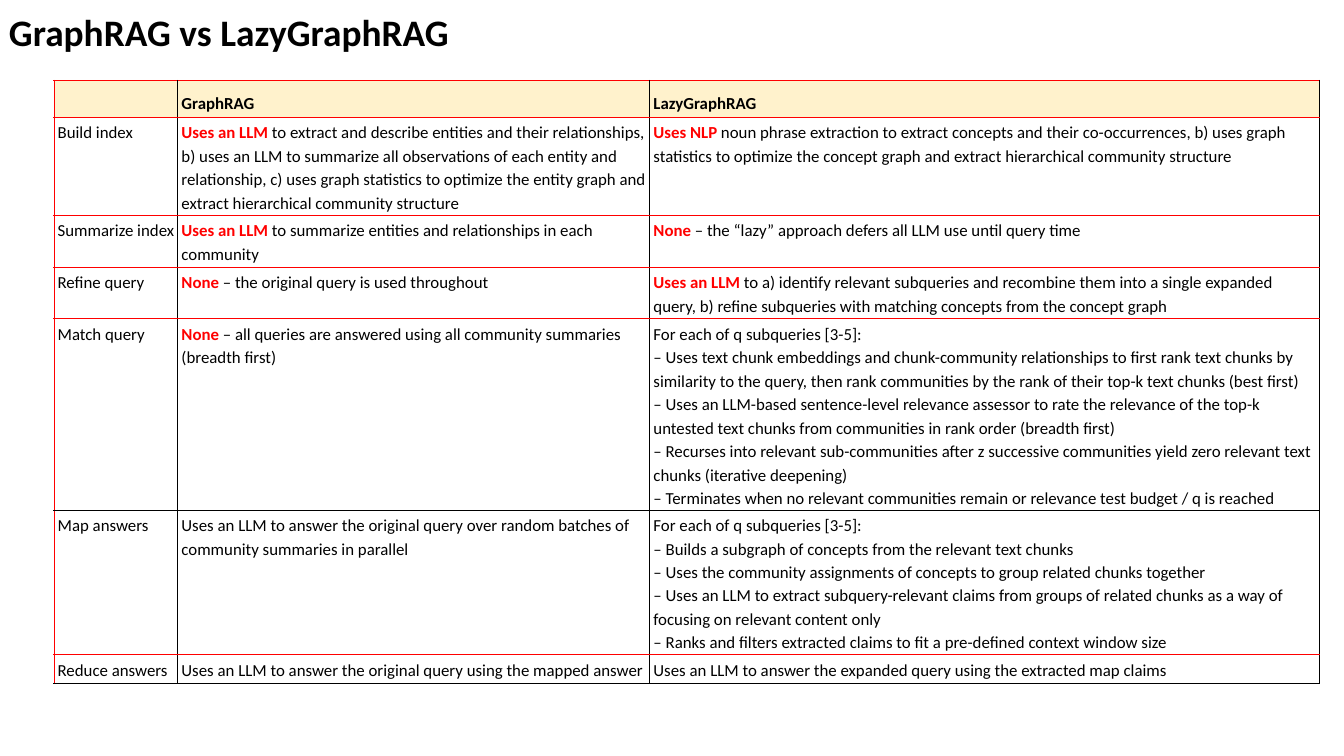
from dataclasses import dataclass

from lxml.etree import SubElement
from pptx import Presentation
from pptx.dml.color import RGBColor
from pptx.enum.text import MSO_ANCHOR as Anchor, MSO_AUTO_SIZE as AutoSize, PP_ALIGN as Align
from pptx.oxml.ns import qn
from pptx.util import Cm, Pt


@dataclass(frozen=True)
class Theme:
    font: str = "Calibri"
    title_size: float = 20
    body_size: float = 9
    blank_size: float = 14
    ink: str = "000000"
    accent: str = "FF0000"
    header: str = "FFF2CC"
    paper: str = "FFFFFF"
    border: float = 0.6
    spacing: float = 1.15


@dataclass(frozen=True)
class Entry:
    text: str
    lead: str = ""
    points: tuple[str, ...] = ()


@dataclass(frozen=True)
class Stage:
    name: str
    height: float
    graph: Entry
    lazy: Entry


THEME = Theme()
COLUMN_WIDTHS = (2.34, 8.92, 12.65)
RED_RULES = (0, 1, 2, 3, 4, 6)
STAGES = (
    Stage("", 0.51, Entry("GraphRAG"), Entry("LazyGraphRAG")),
    Stage(
        "Build index", 1.4,
        Entry(" to extract and describe entities and their relationships, b) uses an LLM to "
              "summarize all observations of each entity and relationship, c) uses graph statistics "
              "to optimize the entity graph and extract hierarchical community structure",
              "Uses an LLM"),
        Entry("noun phrase extraction to extract concepts and their co-occurrences, b) uses graph "
              "statistics to optimize the concept graph and extract hierarchical community structure",
              "Uses NLP "),
    ),
    Stage(
        "Summarize index", 0.74,
        Entry(" to summarize entities and relationships in each community", "Uses an LLM"),
        Entry(" – the “lazy” approach defers all LLM use until query time", "None"),
    ),
    Stage(
        "Refine query", 0.74,
        Entry(" – the original query is used throughout", "None"),
        Entry("to a) identify relevant subqueries and recombine them into a single expanded query, "
              "b) refine subqueries with matching concepts from the concept graph", "Uses an LLM "),
    ),
    Stage(
        "Match query", 2.72,
        Entry(" – all queries are answered using all community summaries (breadth first)", "None"),
        Entry("For each of q subqueries [3-5]:", points=(
            "– Uses text chunk embeddings and chunk-community relationships to first rank text chunks "
            "by similarity to the query, then rank communities by the rank of their top-k text chunks "
            "(best first)",
            "– Uses an LLM-based sentence-level relevance assessor to rate the relevance of the top-k "
            "untested text chunks from communities in rank order (breadth first)",
            "– Recurses into relevant sub-communities after z successive communities yield zero "
            "relevant text chunks (iterative deepening)",
            "– Terminates when no relevant communities remain or relevance test budget / q is reached",
        )),
    ),
    Stage(
        "Map answers", 2.06,
        Entry("Uses an LLM to answer the original query over random batches of community summaries "
              "in parallel"),
        Entry("For each of q subqueries [3-5]:", points=(
            "– Builds a subgraph of concepts from the relevant text chunks",
            "– Uses the community assignments of concepts to group related chunks together",
            "– Uses an LLM to extract subquery-relevant claims from groups of related chunks as a way "
            "of focusing on relevant content only",
            "– Ranks and filters extracted claims to fit a pre-defined context window size",
        )),
    ),
    Stage(
        "Reduce answers", 0.41,
        Entry("Uses an LLM to answer the original query using the mapped answer"),
        Entry("Uses an LLM to answer the expanded query using the extracted map claims"),
    ),
)


def add_span(para, text: str, size: float, color: str = THEME.ink, bold: bool = False) -> None:
    span = para.add_run()
    span.text = text
    span.font.name = THEME.font
    span.font.size = Pt(size)
    span.font.bold = bold
    span.font.color.rgb = RGBColor.from_string(color)


def add_title(page, text: str) -> None:
    title = page.shapes.title
    title.left, title.top, title.width, title.height = Cm(0.15), Cm(0.15), Cm(8.74), Cm(0.91)
    frame = title.text_frame
    frame.word_wrap = False
    frame.auto_size = AutoSize.SHAPE_TO_FIT_TEXT
    frame.vertical_anchor = Anchor.TOP
    frame.margin_left = frame.margin_right = frame.margin_top = frame.margin_bottom = Cm(0.02)
    para = frame.paragraphs[0]
    para.alignment = Align.LEFT
    para.line_spacing = 1.0
    add_span(para, text, THEME.title_size, bold=True)


def rule_color(index: int) -> str:
    return THEME.accent if index in RED_RULES else THEME.ink


def set_borders(cell, row: int, column: int) -> None:
    colors = {
        "L": THEME.ink if column else THEME.accent,
        "R": THEME.ink,
        "T": rule_color(row),
        "B": rule_color(row + 1),
    }
    properties = cell._tc.get_or_add_tcPr()
    for side, color in colors.items():
        line = SubElement(properties, qn(f"a:ln{side}"), w=str(Pt(THEME.border)))
        fill = SubElement(line, qn("a:solidFill"))
        SubElement(fill, qn("a:srgbClr"), val=color)


def fill_cell(cell, entry: Entry, row: int, column: int) -> None:
    set_borders(cell, row, column)
    is_header = row == 0
    cell.fill.solid()
    cell.fill.fore_color.rgb = RGBColor.from_string(THEME.header if is_header else THEME.paper)
    cell.margin_left = cell.margin_right = Cm(0.07)
    cell.margin_top = cell.margin_bottom = Cm(0.05)
    cell.vertical_anchor = Anchor.BOTTOM if is_header else Anchor.TOP
    frame = cell.text_frame
    para = frame.paragraphs[0]
    if not entry.text:
        SubElement(para._p, qn("a:endParaRPr"), sz=str(int(THEME.blank_size * 100)))
        return
    para.line_spacing = THEME.spacing
    if entry.lead:
        add_span(para, entry.lead, THEME.body_size, THEME.accent, True)
    add_span(para, entry.text, THEME.body_size, bold=is_header)
    for point in entry.points:
        para = frame.add_paragraph()
        para.line_spacing = THEME.spacing
        add_span(para, point, THEME.body_size)


def add_comparison(page, stages: tuple[Stage, ...]) -> None:
    width = Cm(sum(COLUMN_WIDTHS))
    height = Cm(sum(stage.height for stage in stages))
    table = page.shapes.add_table(
        len(stages), len(COLUMN_WIDTHS), Cm(1.02), Cm(1.52), width, height).table
    table.horz_banding = False
    for column, column_width in zip(table.columns, COLUMN_WIDTHS):
        column.width = Cm(column_width)
    for row, stage in enumerate(stages):
        table.rows[row].height = Cm(stage.height)
        for column, entry in enumerate((Entry(stage.name), stage.graph, stage.lazy)):
            fill_cell(table.cell(row, column), entry, row, column)


def main() -> None:
    """Build the GraphRAG comparison slide."""
    deck = Presentation()
    deck.slide_width, deck.slide_height = Cm(25.4), Cm(14.29)
    page = deck.slides.add_slide(deck.slide_layouts.get_by_name("Title Only"))
    add_title(page, "GraphRAG vs LazyGraphRAG")
    add_comparison(page, STAGES)
    deck.save("out.pptx")


if __name__ == "__main__":
    main()
